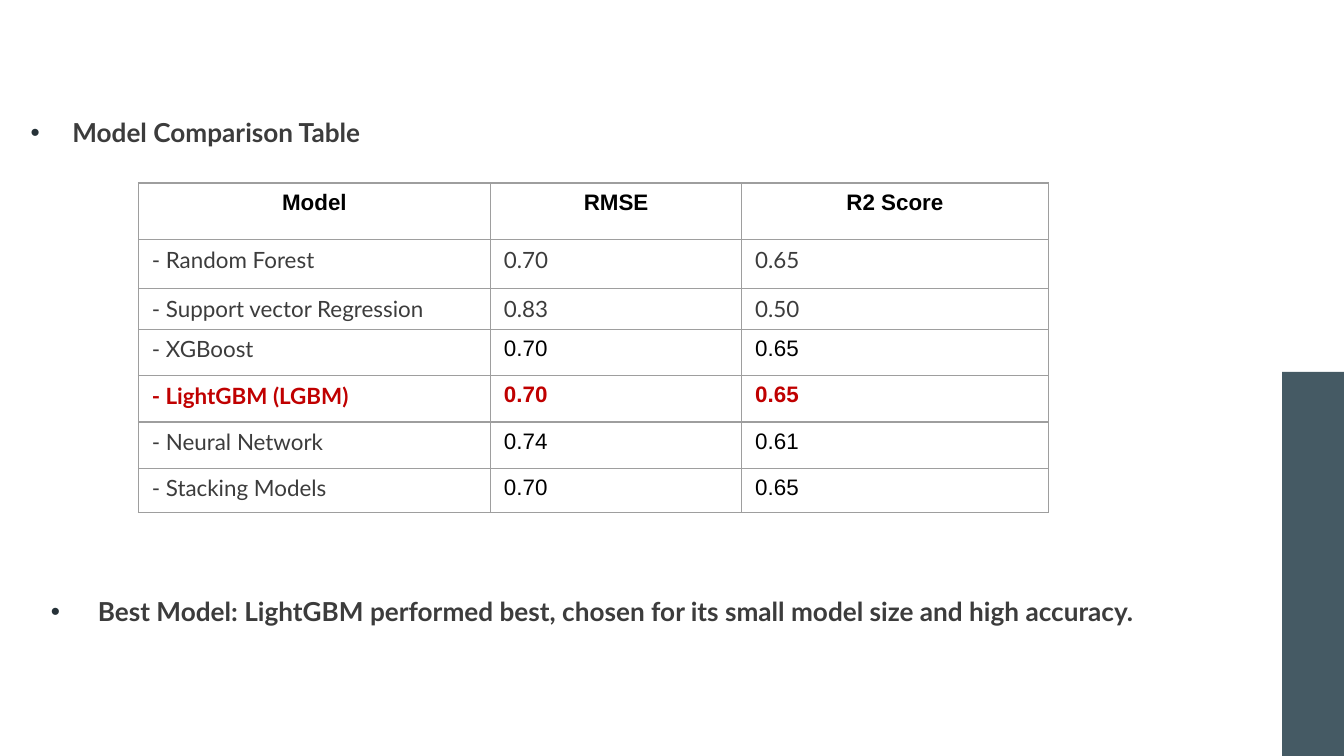
from lxml import etree
from pptx import Presentation
from pptx import util as u
from pptx.dml import color as dml
from pptx.enum import shapes, text
from pptx.oxml import ns, parse_xml

deck = Presentation()
deck.slide_width, deck.slide_height = u.Inches(10), u.Inches(10 * 9 / 16)
page = deck.slides.add_slide(deck.slide_layouts[6])


def place(left, top, width, height):
    across, down = deck.slide_width / 100, deck.slide_height / 100
    return [u.Emu(round(n)) for n in (left * across, top * down, width * across, height * down)]


def style(span, size, face, shade, bold):
    span.font.size, span.font.name, span.font.bold = u.Pt(size), face, bold
    span.font.color.rgb = dml.RGBColor.from_string(shade)


side_bar = page.shapes.add_shape(shapes.MSO_SHAPE.RECTANGLE, *place(95.4, 49.2, 4.6, 50.8))
side_bar.shadow.inherit = False
side_bar.fill.solid()
side_bar.fill.fore_color.rgb = dml.RGBColor.from_string("455A64")
side_bar.line.fill.background()

box = page.shapes.add_textbox(*place(1.3, 13.6, 92.7, 83.8))
frame = box.text_frame
frame.word_wrap = True
frame.vertical_anchor = text.MSO_ANCHOR.TOP
frame.margin_left = frame.margin_right = frame.margin_top = frame.margin_bottom = u.Inches(0.1)
bullets = [
    ("Model Comparison Table", 0.31, 0.31, 0),
    ("Best Model: LightGBM performed best, chosen for its small model size and high accuracy.", 0.5, 0.35, 240),
]
frame.text = "\n".join(bullet[0] for bullet in bullets)
for para, (_, margin, hanging, gap) in zip(frame.paragraphs, bullets):
    style(para.runs[0], 14, "Lato", "3C3C3C", True)
    props = para._p.get_or_add_pPr()
    props.set("marL", str(u.Inches(margin)))
    props.set("indent", str(-u.Inches(hanging)))
    bullet_color = etree.SubElement(props, ns.qn("a:buClr"))
    etree.SubElement(bullet_color, ns.qn("a:srgbClr"), val="263238")
    etree.SubElement(props, ns.qn("a:buFont"), typeface="Arial")
    etree.SubElement(props, ns.qn("a:buChar"), char="•")
    para.space_before = u.Pt(gap)

GRAY, BLACK, RED = "3C3C3C", "000000", "C00000"
scores = [
    ("Model", "RMSE", "R2 Score"),
    ("- Random Forest", "0.70", "0.65"),
    ("- Support vector Regression", "0.83", "0.50"),
    ("- XGBoost", "0.70", "0.65"),
    ("- LightGBM (LGBM)", "0.70", "0.65"),
    ("- Neural Network", "0.74", "0.61"),
    ("- Stacking Models", "0.70", "0.65"),
]
column_shares = [26.2, 18.7, 22.8]
row_shares = [7.5, 6.5, 5.3, 6.1, 6.2, 6.1, 5.9]
HEADER, BEST, LATO_VALUES = 0, 4, (1, 2)

area = place(10.3, 24.2, sum(column_shares), sum(row_shares))
table = page.shapes.add_table(len(scores), len(column_shares), *area).table
for column, share in zip(table.columns, column_shares):
    column.width = place(0, 0, share, 0)[2]
for row, share in zip(table.rows, row_shares):
    row.height = place(0, 0, 0, share)[3]

for r, values in enumerate(scores):
    for c, value in enumerate(values):
        cell = table.cell(r, c)
        cell.text_frame.text = value
        para = cell.text_frame.paragraphs[0]
        if r == HEADER:
            para.alignment = text.PP_ALIGN.CENTER
        lato = r != HEADER and (c == 0 or r in LATO_VALUES)
        shade = RED if r == BEST else GRAY if lato else BLACK
        style(para.runs[0], 12, "Lato" if lato else "Arial", shade, r in (HEADER, BEST))
        cell.fill.background()
        for position, side in enumerate("LRTB"):
            border = parse_xml(
                f'<a:ln{side} {ns.nsdecls("a")} w="{u.Pt(0.75)}">'
                f'<a:solidFill><a:srgbClr val="9E9E9E"/></a:solidFill></a:ln{side}>'
            )
            cell._tc.get_or_add_tcPr().insert(position, border)

deck.save("out.pptx")
